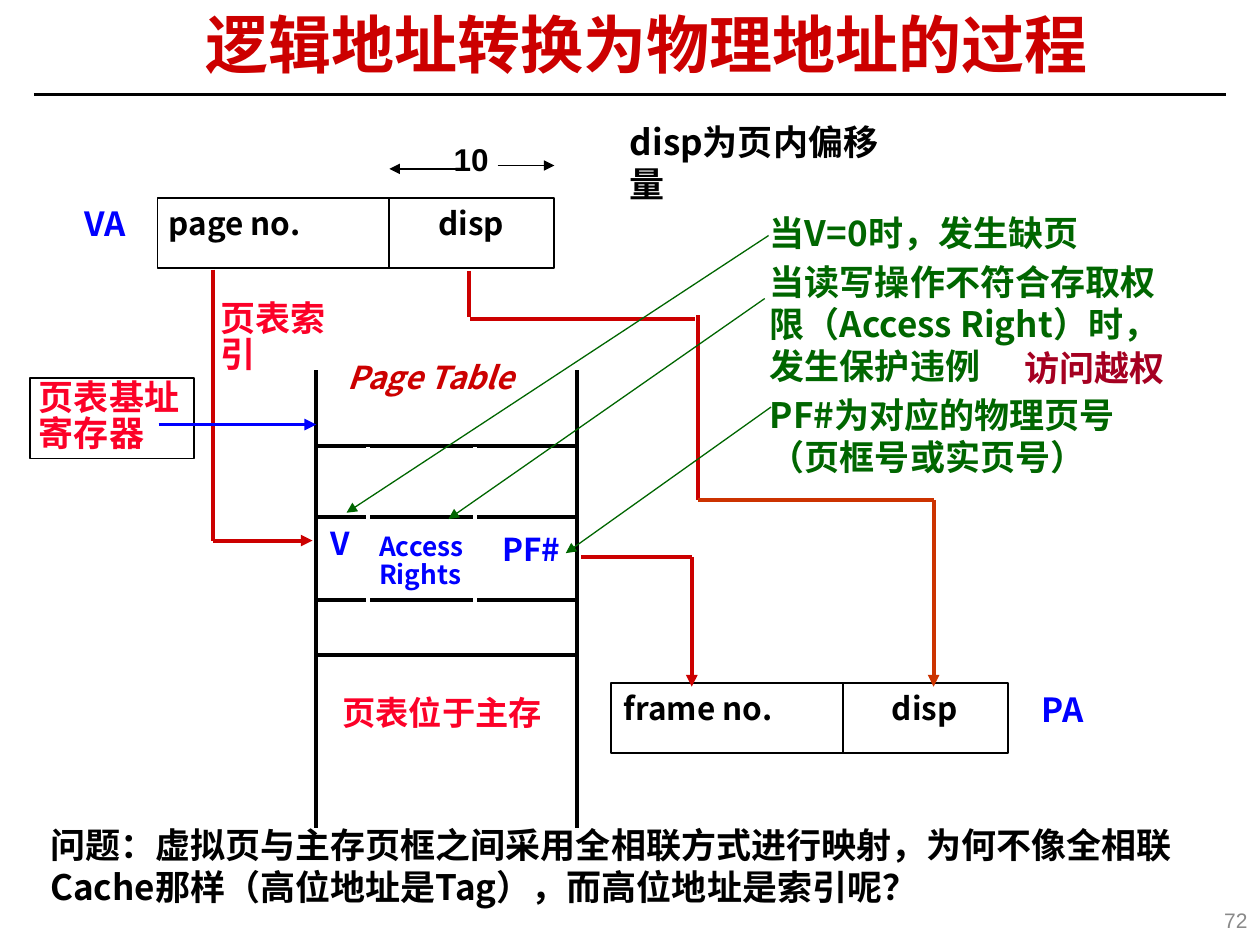
"""Build a slide on translating logical addresses to physical addresses."""
from lxml.etree import SubElement
from pptx import Presentation
from pptx.dml.color import RGBColor
from pptx.enum.shapes import MSO_CONNECTOR, MSO_SHAPE
from pptx.enum.text import MSO_ANCHOR, MSO_AUTO_SIZE, PP_ALIGN
from pptx.oxml.ns import qn
from pptx.util import Pt

SANS = "Noto Sans CJK SC"
BLACK, RED, PINK, BLUE, GREEN, ORANGE = "000000", "CC0000", "FC0128", "0000FF", "006600", "CC3300"


def color(value):
    """Turn a hex string into a colour."""
    return RGBColor.from_string(value)


def write(box, text, size, ink, font=SANS, spacing=0.85, margins=(5, 2.5), wrap=False,
          align=PP_ALIGN.LEFT, bold=True, before=0):
    """Fill a box with formatted text, one paragraph per line."""
    frame = box.text_frame
    frame.text = text
    frame.word_wrap = wrap
    frame.auto_size = MSO_AUTO_SIZE.NONE if wrap else MSO_AUTO_SIZE.SHAPE_TO_FIT_TEXT
    frame.vertical_anchor = MSO_ANCHOR.TOP
    frame.margin_left = frame.margin_right = Pt(margins[0])
    frame.margin_top = frame.margin_bottom = Pt(margins[1])
    for index, paragraph in enumerate(frame.paragraphs):
        paragraph.alignment = align
        paragraph.line_spacing = spacing
        paragraph.space_before = Pt(before if index else 0)
        for span in paragraph.runs:
            span.font.size = Pt(size)
            span.font.bold = bold
            span.font.name = font
            span.font.color.rgb = color(ink)
            SubElement(span.font._element, qn("a:ea"), typeface=SANS)


deck = Presentation()
deck.slide_width, deck.slide_height = Pt(720), Pt(540)
page = deck.slides.add_slide(deck.slide_layouts[5])

title = page.shapes.title
title.left, title.top, title.width, title.height = Pt(98.6), Pt(6.5), Pt(542.2), Pt(41.8)
write(title, "逻辑地址转换为物理地址的过程", 36, RED, "Arial", 0.87, wrap=True, align=PP_ALIGN.CENTER)

rectangles = {}
for name, left, top, width, height in [
    ("virtual address", 90, 113, 226.8, 40.3),
    ("base register", 17.3, 216, 93.6, 46.1),
    ("physical address", 349.2, 390.2, 226.8, 40.3),
]:
    rectangle = page.shapes.add_shape(MSO_SHAPE.RECTANGLE, Pt(left), Pt(top), Pt(width), Pt(height))
    rectangle.shadow.inherit = False
    rectangle.fill.background()
    rectangle.line.color.rgb = color(BLACK)
    rectangle.line.width = Pt(1)
    rectangles[name] = rectangle
write(rectangles["base register"], "页表基址寄存器", 20, PINK, "Arial", wrap=True)

table_rows = [(181.4, y, 329, y, BLACK, 2.25, False) for y in (254.9, 295.2, 342.7, 374.4)]
column_gaps = [(x, 255.6, x, 367.9, "FFFFFF", 2.25, False) for x in (210.2, 271.4)]
table_sides = [(x, 211.7, x, 473.4, BLACK, 2.25, False) for x in (180.7, 329.8)]
for x1, y1, x2, y2, ink, weight, arrow in table_rows + column_gaps + table_sides + [
    (19.4, 54, 700.6, 54, BLACK, 1.5, False),
    (222.5, 113, 222.5, 153.4, BLACK, 1, False),
    (481.7, 390.2, 481.7, 430.6, BLACK, 1, False),
    (284.4, 94.6, 316.8, 94.6, BLACK, 1, True),
    (260.6, 96.5, 222.5, 96.5, BLACK, 1, True),
    (121.7, 154.1, 121.7, 308.9, RED, 2.25, False),
    (121.7, 308.9, 178.6, 308.9, RED, 2.25, True),
    (90.7, 242.6, 180.7, 242.6, BLUE, 2.25, True),
    (267.8, 154.8, 267.8, 181.4, RED, 2.25, False),
    (268.6, 182.2, 397.4, 182.2, RED, 2.25, False),
    (398.9, 180, 398.9, 285.8, RED, 2.25, False),
    (398.9, 285.8, 533.5, 285.8, ORANGE, 2.25, False),
    (533.5, 285.8, 533.5, 392.4, ORANGE, 2.25, True),
    (331.9, 318.2, 395.3, 318.2, RED, 2.25, False),
    (395.3, 318.2, 395.3, 392.4, RED, 2.25, True),
    (439.2, 134.6, 198, 293, GREEN, 0.75, True),
    (437, 170.6, 256.3, 296.6, GREEN, 0.75, True),
    (440.6, 232.6, 323.3, 316.1, GREEN, 0.75, True),
]:
    line = page.shapes.add_connector(MSO_CONNECTOR.STRAIGHT, Pt(x1), Pt(y1), Pt(x2), Pt(y2))
    line.line.color.rgb = color(ink)
    line.line.width = Pt(weight)
    if arrow:
        SubElement(line.line._get_or_add_ln(), qn("a:tailEnd"), type="triangle")
    SubElement(line._element.spPr, qn("a:effectLst"))

note = {"spacing": 1, "margins": (7.2, 3.6), "wrap": True}
conditions = "当V=0时，发生缺页\n当读写操作不符合存取权限（Access Right）时，发生保护违例\nPF#为对应的物理页号（页框号或实页号）"
question = "问题：虚拟页与主存页框之间采用全相联方式进行映射，为何不像全相联Cache那样（高位地址是Tag），而高位地址是索引呢？"
for text, left, top, width, height, size, ink, style in [
    ("VA", 43.2, 117.4, 38.2, 23, 19, BLUE, {}),
    ("page no.", 91.4, 117.4, 88.6, 22.3, 18, BLACK, {}),
    ("disp", 245.5, 117.4, 48.2, 22.3, 18, BLACK, {}),
    ("10", 254.2, 80.6, 30.2, 22.3, 18, BLACK, {"font": "Arial"}),
    ("页表索引", 121, 170.6, 80, 46, 20, PINK, {"font": "Arial", "wrap": True}),
    ("Page Table", 193.7, 205.2, 109.4, 22.3, 18, RED, {}),
    ("V", 183.6, 300.2, 23, 22.3, 18, BLUE, {}),
    ("Access\nRights", 211.7, 302.5, 60.5, 37, 15, BLUE, {"spacing": 0.9}),
    ("PF#", 282.2, 303.8, 43.2, 22.3, 18, BLUE, {}),
    ("页表位于主存", 190.8, 396.7, 123.8, 23, 19, PINK, {"font": "Arial", "align": PP_ALIGN.CENTER}),
    ("frame no.", 351.4, 394.6, 97.2, 22.3, 18, BLACK, {}),
    ("disp", 504.7, 394.6, 48.2, 22.3, 18, BLACK, {}),
    ("PA", 590.4, 394.6, 36.7, 23.8, 19, BLUE, {}),
    (conditions, 439.9, 121, 231.1, 153.4, 20, GREEN,
     {"spacing": 1, "margins": (0, 0), "wrap": True, "before": 4}),
    ("disp为页内偏移量", 352.8, 65.5, 165, 56, 20, BLACK, note),
    ("访问越权", 578.2, 194.4, 117.4, 31, 20, "A50021", note),
    (question, 21.6, 467.3, 657.4, 55.4, 20, BLACK, note),
    ("72", 558, 511.2, 162, 28.8, 12, "898989",
     {**note, "font": "Arial", "align": PP_ALIGN.RIGHT, "bold": False}),
]:
    box = page.shapes.add_textbox(Pt(left), Pt(top), Pt(width), Pt(height))
    write(box, text, size, ink, **style)
    if text == "Page Table":
        box.text_frame.paragraphs[0].runs[0].font.italic = True
    if text == "72":
        box.text_frame.vertical_anchor = MSO_ANCHOR.MIDDLE

deck.save("out.pptx")
